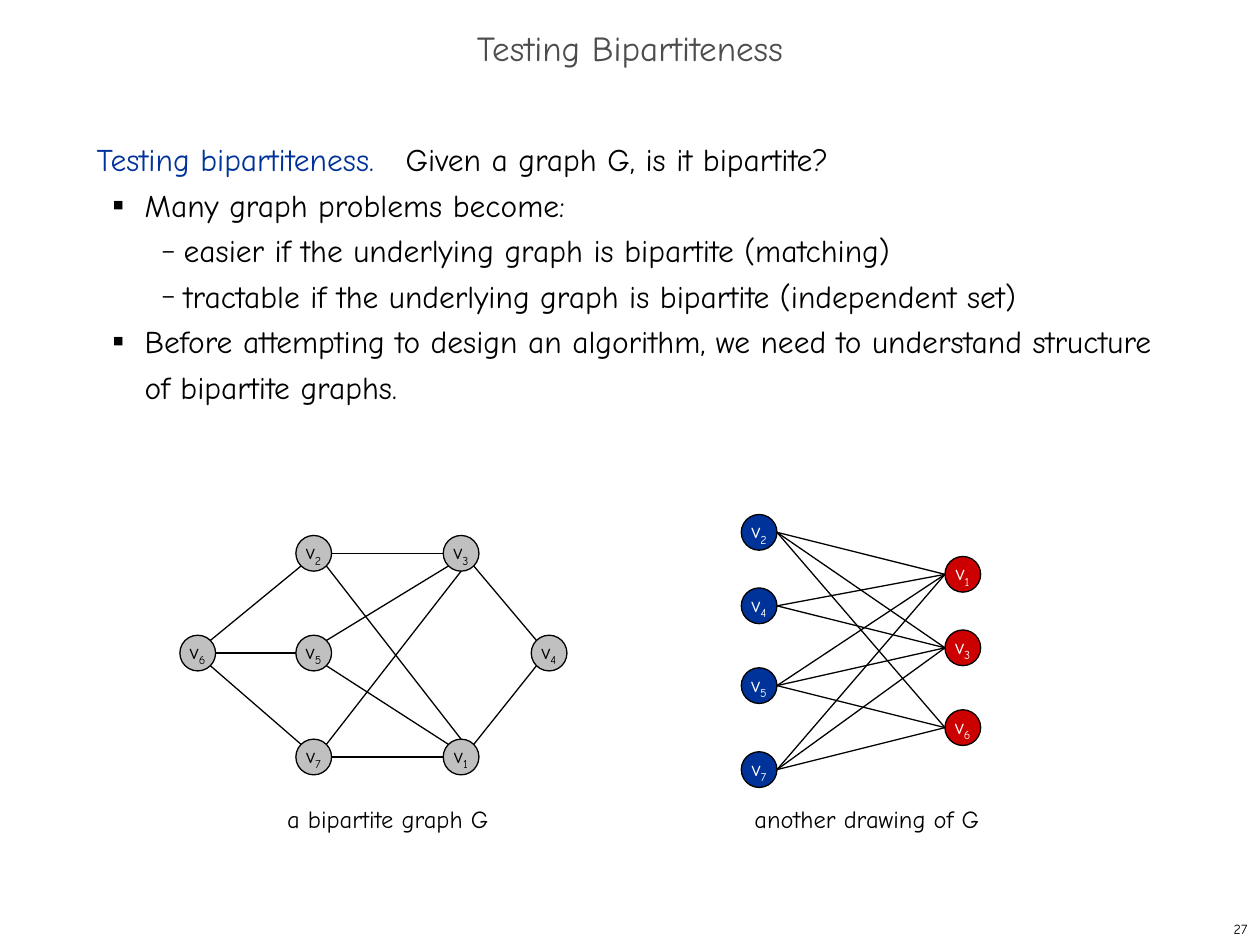
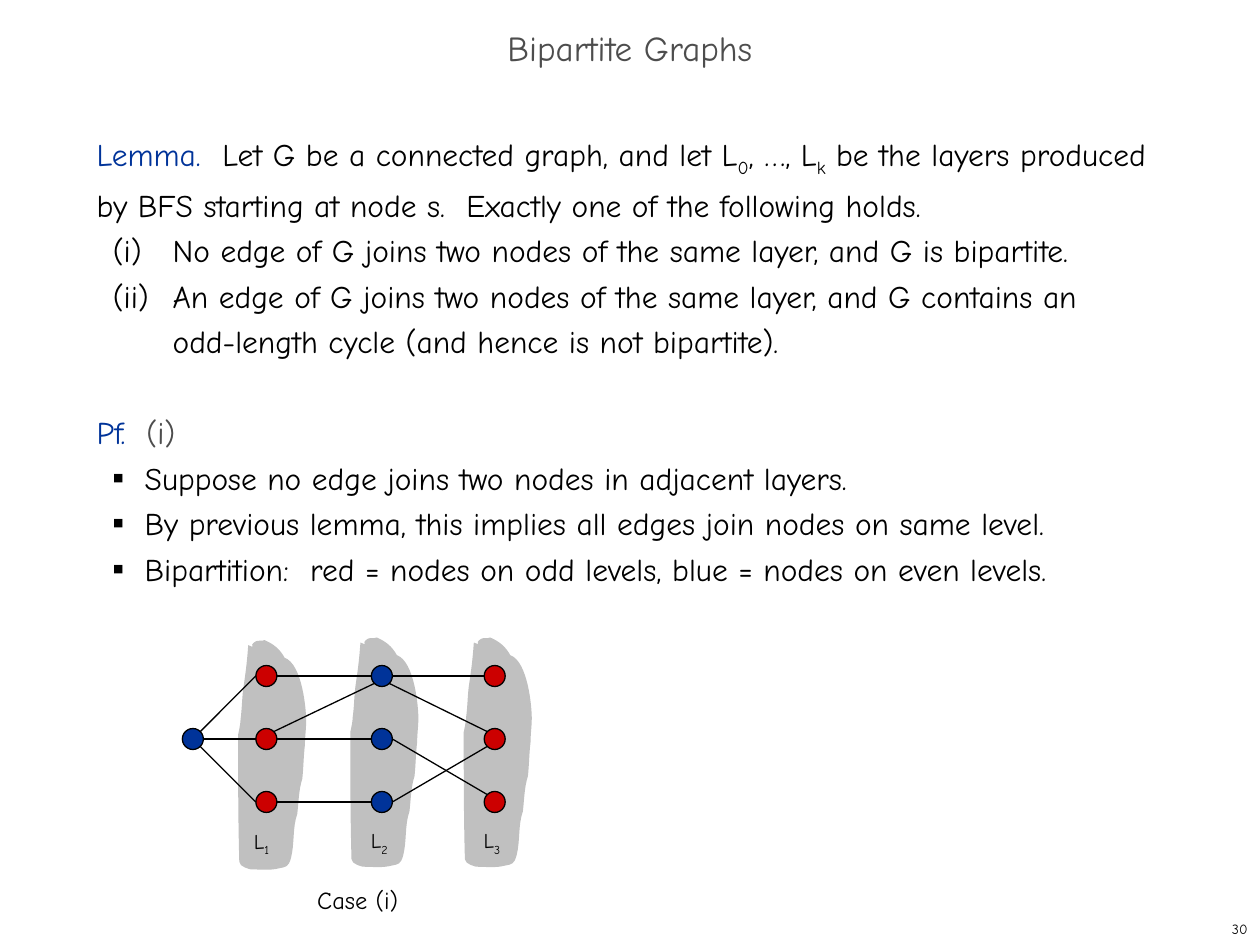
from itertools import product
from math import sqrt

from lxml import etree
from pptx import Presentation
from pptx.dml.color import RGBColor
from pptx.enum.shapes import MSO_CONNECTOR, MSO_SHAPE
from pptx.enum.text import MSO_ANCHOR, PP_ALIGN
from pptx.oxml.ns import qn
from pptx.util import Pt

STRAIGHT = MSO_CONNECTOR.STRAIGHT
OVAL = MSO_SHAPE.OVAL
TOP, MIDDLE = MSO_ANCHOR.TOP, MSO_ANCHOR.MIDDLE
LEFT, CENTER, RIGHT = PP_ALIGN.LEFT, PP_ALIGN.CENTER, PP_ALIGN.RIGHT


class Theme:
    font = "Comic Neue"
    black = RGBColor(0x00, 0x00, 0x00)
    white = RGBColor(0xFF, 0xFF, 0xFF)
    blue = RGBColor(0x00, 0x33, 0x99)
    red = RGBColor(0xCC, 0x00, 0x00)
    silver = RGBColor(0xC0, 0xC0, 0xC0)
    gray = RGBColor(0x4D, 0x4D, 0x4D)
    title, body, caption, label, number = 20, 18, 14, 12, 8
    line = 0.75
    leading = 26


SUB = "subscript"
BLACK, BLUE, RED = Theme.black, Theme.blue, Theme.red

# Paragraph kinds: level, left margin, first-line indent, bullet, bullet percent, space before
KINDS = {
    "plain": (0, 0, 0, None, 0, 0),
    "proof": (0, 0, 0, None, 0, Theme.leading),
    "case": (1, 43.4, -34.2, None, 0, 0),
    "item": (1, 27.4, -18, "■", 35, 0),
    "detail": (2, 49.7, -13, "–", 80, 0),
}

# Compass points on a circle of radius 1
DIAGONAL = sqrt(0.5)
SITES = {
    "N": (0, -1), "E": (1, 0), "S": (0, 1), "W": (-1, 0),
    "NE": (DIAGONAL, -DIAGONAL), "SE": (DIAGONAL, DIAGONAL),
    "SW": (-DIAGONAL, DIAGONAL), "NW": (-DIAGONAL, -DIAGONAL),
}


def write(para, size, spans, align=LEFT):
    """Fill a paragraph with (text, colour[, SUB]) spans."""
    para.alignment = align
    for text, colour, *style in spans:
        if text == "\v":
            para.add_line_break()
            continue
        span = para.add_run()
        span.text = text
        span.font.name = Theme.font
        span.font.size = Pt(size)
        span.font.color.rgb = colour
        if SUB in style:
            span._r.get_or_add_rPr().set("baseline", "-25000")


def draw_graph(page, diameter, nodes, edges):
    """nodes: name -> (centre x, centre y, fill, label spans); edges: (node, site, node, site)."""
    radius = diameter / 2
    for x, y, fill, label in nodes.values():
        circle = page.shapes.add_shape(
            OVAL, Pt(x - radius), Pt(y - radius), Pt(diameter), Pt(diameter))
        circle.shadow.inherit = False
        circle.fill.solid()
        circle.fill.fore_color.rgb = fill
        circle.line.color.rgb = BLACK
        circle.line.width = Pt(Theme.line)
        if label:
            circle.text_frame.word_wrap = False
            circle.text_frame.vertical_anchor = MIDDLE
            write(circle.text_frame.paragraphs[0], Theme.label, label, CENTER)
    for start, start_site, end, end_site in edges:
        ends = []
        for name, site in ((start, start_site), (end, end_site)):
            for centre, offset in zip(nodes[name], SITES[site]):
                ends.append(Pt(centre + radius * offset))
        edge = page.shapes.add_connector(STRAIGHT, *ends)
        edge.line.color.rgb = BLACK
        edge.line.width = Pt(Theme.line)
        etree.SubElement(edge._element.spPr, qn("a:effectLst"))


deck = Presentation()
deck.slide_width, deck.slide_height = Pt(720), Pt(540)

# Content: title, number, body paragraphs (kind, tab stops, spans), labels (x, y, width, size, spans)
slides = [
    ("Testing Bipartiteness", "27", [
        ("plain", [176.5], [("Testing bipartiteness.", BLUE),
                            ("\tGiven a graph G, is it bipartite?", BLACK)]),
        ("item", [], [("Many graph problems become:", BLACK)]),
        ("detail", [], [("easier if the underlying graph is bipartite (matching)", BLACK)]),
        ("detail", [], [("tractable if the underlying graph is bipartite (independent set)", BLACK)]),
        ("item", [], [("Before attempting to design an algorithm, we need to understand "
                       "structure of bipartite graphs.", BLACK)]),
    ], [
        (157, 456, 139, Theme.caption, [("a bipartite graph G", BLACK)]),
        (424, 456, 153, Theme.caption, [("another drawing of G", BLACK)]),
    ]),
    ("Bipartite Graphs", "30", [
        ("plain", [71.8, 211.3], [
            ("Lemma.", BLUE), ("\tLet G be a connected graph, and let L", BLACK),
            ("0", BLACK, SUB), (", …, L", BLACK), ("k", BLACK, SUB),
            (" be the layers produced by BFS starting at node s."
             "\tExactly one of the following holds.", BLACK)]),
        ("case", [], [("(i)\tNo edge of G joins two nodes of the same layer, "
                       "and G is bipartite.", BLACK)]),
        ("case", [], [("(ii)\tAn edge of G joins two nodes of the same layer, "
                       "and G contains an", BLACK), ("\v", BLACK),
                      ("odd-length cycle (and hence is not bipartite).", BLACK)]),
        ("proof", [28.4], [("Pf.", BLUE), ("\t(i)", Theme.gray)]),
        ("item", [], [("Suppose no edge joins two nodes in adjacent layers.", BLACK)]),
        ("item", [], [("By previous lemma, this implies all edges join nodes "
                       "on same level.", BLACK)]),
        ("item", [122], [("Bipartition:\tred = nodes on odd levels, "
                          "blue = nodes on even levels.", BLACK)]),
    ], [
        (174.2, 502, 64, Theme.caption, [("Case (i)", BLACK)]),
        (138, 470, 26, Theme.label, [("L", BLACK), ("1", BLACK, SUB)]),
        (204.8, 469.5, 26, Theme.label, [("L", BLACK), ("2", BLACK, SUB)]),
        (269.3, 469.5, 26, Theme.label, [("L", BLACK), ("3", BLACK, SUB)]),
    ]),
]

# Layer blob: start point, then cubic curves (two handles and an end)
blob_start = (5.8, 2.9)
blob_curves = [
    ((5, 13.7), (4.3, 18.7), (2.9, 28.1)),
    ((2.2, 33.8), (2.2, 39.6), (1.4, 45.4)),
    ((1.4, 48.2), (0, 54), (0, 54)),
    ((0, 78.5), (0, 103), (0.7, 126.7)),
    ((0.7, 129.6), (7.2, 131), (7.2, 131)),
    ((13, 131), (18, 131.8), (23.8, 130.3)),
    ((27.4, 129.6), (28.8, 129.6), (30.2, 124.6)),
    ((32.4, 115.9), (31, 107.3), (33.8, 99.4)),
    ((34.6, 92.9), (34.6, 85.7), (36.7, 79.2)),
    ((37.4, 72.7), (37.4, 66.2), (38.2, 59.8)),
    ((38.2, 55.4), (38.9, 50.4), (38.9, 46.1)),
    ((38.9, 39.6), (36.7, 13.7), (26.6, 10.1)),
    ((23.8, 5), (20.2, 2.2), (15.1, 0)),
    ((13.7, 0.7), (11.5, 0), (10.1, 0.7)),
    ((5, 3.6), (11.5, 5), (5.8, 2.9)),
]

pages = []
for title, number, paragraphs, labels in slides:
    page = deck.slides.add_slide(deck.slide_layouts[6])
    pages.append(page)

    # Layer blobs lie behind the text
    if title == "Bipartite Graphs":
        for left, top in ((265, 364.3), (200.2, 364.3), (136.1, 365.8)):
            builder = page.shapes.build_freeform(
                Pt(left + blob_start[0]), Pt(top + blob_start[1]))
            for curve in blob_curves:
                builder.add_line_segments(
                    [(Pt(left + x), Pt(top + y)) for x, y in curve], close=False)
            blob = builder.convert_to_shape()
            blob.shadow.inherit = False
            blob.fill.solid()
            blob.fill.fore_color.rgb = Theme.silver
            blob.line.fill.background()
            # Join every three segments into one cubic curve, then close the outline
            segments = list(blob._element.iter(qn("a:lnTo")))
            outline = segments[0].getparent()
            for first in range(0, len(segments), 3):
                cubic = etree.SubElement(outline, qn("a:cubicBezTo"))
                for segment in segments[first:first + 3]:
                    cubic.append(segment[0])
                    outline.remove(segment)
            etree.SubElement(outline, qn("a:close"))

    # Title, page number and labels
    texts = [
        (0, 12, 720, 36, Theme.title, [(title, Theme.gray)], CENTER, MIDDLE, True),
        (570, 522, 150, 18, Theme.number, [(number, BLACK)], RIGHT, MIDDLE, True),
    ]
    for x, y, width, size, spans in labels:
        texts.append((x, y, width, 23, size, spans, LEFT, TOP, False))
    for x, y, width, height, size, spans, align, anchor, wrap in texts:
        box = page.shapes.add_textbox(Pt(x), Pt(y), Pt(width), Pt(height))
        box.text_frame.word_wrap = wrap
        box.text_frame.vertical_anchor = anchor
        para = box.text_frame.paragraphs[0]
        write(para, size, spans, align)
        if size == Theme.title:
            para.line_spacing = 0.7

    # Body text
    box = page.shapes.add_textbox(Pt(48.2), Pt(72.3), Pt(618), Pt(426))
    box.text_frame.word_wrap = True
    for index, (kind, tabs, spans) in enumerate(paragraphs):
        level, margin, indent, bullet, percent, before = KINDS[kind]
        para = box.text_frame.add_paragraph() if index else box.text_frame.paragraphs[0]
        para.level = level
        para.line_spacing = Pt(Theme.leading)
        para.space_before = Pt(before)
        properties = para._p.get_or_add_pPr()
        if margin:
            properties.set("marL", str(Pt(margin)))
            properties.set("indent", str(Pt(indent)))
        if bullet:
            colour = etree.SubElement(properties, qn("a:buClr"))
            etree.SubElement(colour, qn("a:srgbClr"), val=str(BLACK))
            etree.SubElement(properties, qn("a:buSzPct"), val=str(percent * 1000))
            etree.SubElement(properties, qn("a:buFont"), typeface=Theme.font)
            etree.SubElement(properties, qn("a:buChar"), char=bullet)
        if tabs:
            stops = etree.SubElement(properties, qn("a:tabLst"))
            for stop in tabs:
                etree.SubElement(stops, qn("a:tab"), pos=str(Pt(stop)), algn="l")
        write(para, Theme.body, spans)

# Slide 1, left: the graph G
centres = {"1": (263.5, 432.6), "2": (179.3, 316.2), "3": (263.5, 316.2), "4": (313.8, 373.2),
           "5": (179.3, 373.2), "6": (113, 373.2), "7": (179.3, 432.6)}
nodes = {name: (x, y, Theme.silver, [("v", BLACK), (name, BLACK, SUB)])
         for name, (x, y) in centres.items()}
draw_graph(pages[0], 20.4, nodes, [
    ("2", "SW", "6", "NE"), ("2", "E", "3", "W"), ("3", "SE", "4", "NW"),
    ("1", "NE", "4", "SW"), ("1", "NW", "5", "SE"), ("1", "W", "7", "E"),
    ("6", "SE", "7", "NW"), ("5", "W", "6", "E"), ("3", "SW", "5", "NE"),
    ("3", "S", "7", "NE"), ("1", "N", "2", "SE"),
])

# Slide 1, right: the same graph in two columns
blue_rows = {"2": 304.2, "4": 346.2, "5": 391.8, "7": 439.8}
red_rows = {"1": 328.2, "3": 370.2, "6": 415.8}
nodes = {}
for x, fill, rows in ((433.8, BLUE, blue_rows), (550.2, RED, red_rows)):
    for name, y in rows.items():
        nodes[name] = (x, y, fill, [("v", Theme.white), (name, Theme.white, SUB)])
draw_graph(pages[0], 20.4, nodes, [
    (blue, "E", red, "W") for blue, red in product(blue_rows, red_rows)
    if (blue, red) != ("4", "6")
])

# Slide 2: breadth-first layers, nodes named (layer, row)
nodes = {(0, 1): (110.2, 422.3, BLUE, None)}
for (layer, x), row in product(((1, 152.2), (2, 218.2), (3, 282.7)), range(3)):
    nodes[layer, row] = (x, 386.3 + 36 * row, RED if layer % 2 else BLUE, None)
edges = [((0, 1), site, (1, row), "W") for row, site in enumerate(("NE", "E", "SE"))]
edges += [((1, row), "E", (2, row), "W") for row in range(3)]
edges += [
    ((1, 1), "NE", (2, 0), "SW"), ((2, 0), "E", (3, 0), "W"), ((2, 0), "SE", (3, 1), "NW"),
    ((2, 1), "E", (3, 2), "NW"), ((2, 2), "E", (3, 1), "SW"),
]
draw_graph(pages[1], 12, nodes, edges)

deck.save("out.pptx")
